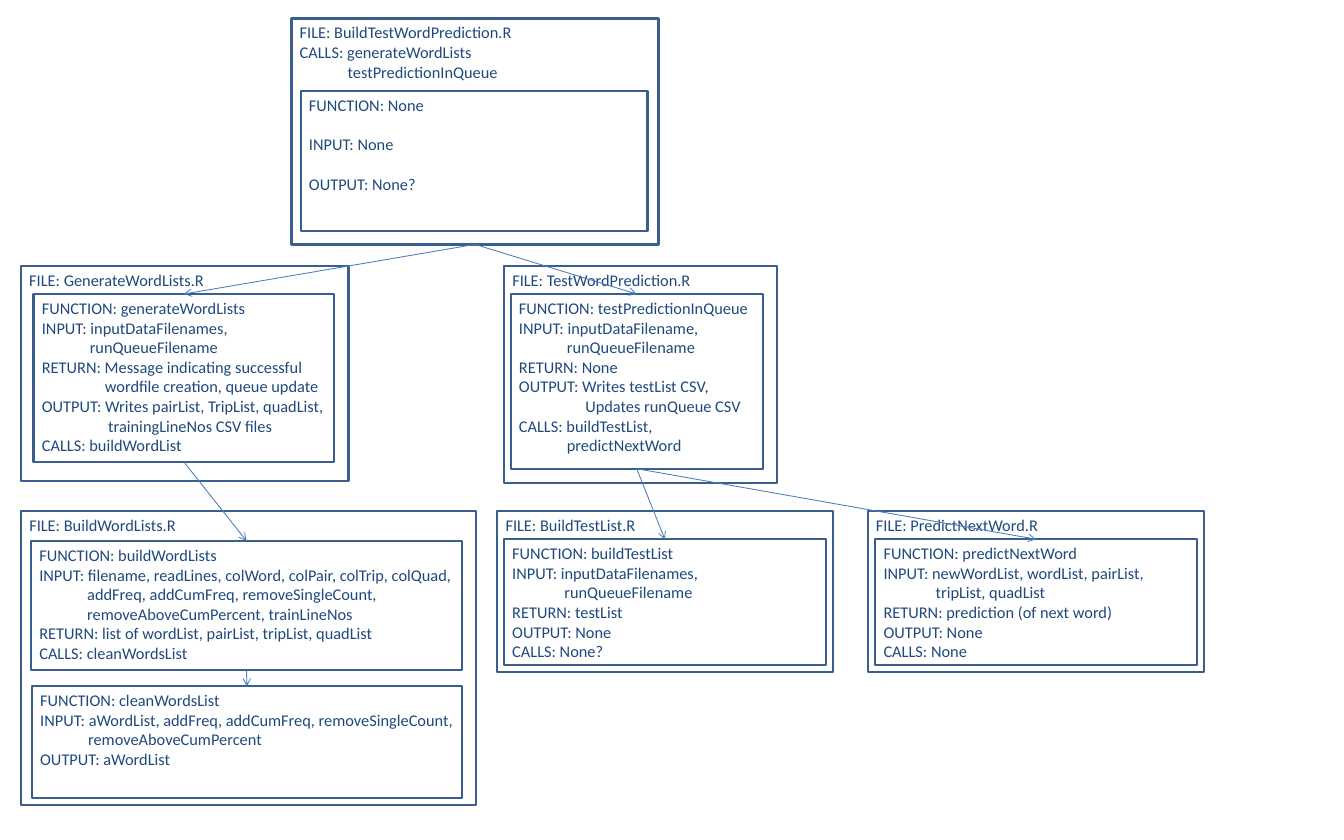
from pptx import Presentation
from pptx.dml.color import RGBColor
from pptx.enum.shapes import MSO_CONNECTOR as Connector, MSO_SHAPE as Shape
from pptx.enum.text import MSO_ANCHOR as Anchor, PP_ALIGN as Align
from pptx.oxml.ns import qn
from pptx.util import Inches, Pt
from lxml.etree import SubElement

BORDER = RGBColor(0x3A, 0x5F, 0x8C)
ARROW = RGBColor(0x4B, 0x7E, 0xBC)
INK = RGBColor(0x1F, 0x49, 0x7D)
FONT_FORMAT = {"name": "Calibri", "size": Pt(14)}
FRAME_FORMAT = {"word_wrap": True, "vertical_anchor": Anchor.TOP}
TOP, BOTTOM = 0, 2

FILES = {
    "main": ((3.47, 0.22, 4.37, 2.69), [
        "FILE: BuildTestWordPrediction.R",
        "CALLS: generateWordLists",
        ("testPredictionInQueue", 0.57)]),
    "generate": ((0.25, 3.17, 3.9, 2.56), ["FILE: GenerateWordLists.R"]),
    "test": ((6, 3.17, 3.25, 2.58), ["FILE: TestWordPrediction.R"]),
    "build_test": ((5.92, 6.08, 4, 1.92), ["FILE: BuildTestList.R"]),
    "build_words": ((0.25, 6.08, 5.42, 3.5), ["FILE: BuildWordLists.R"]),
    "predict": ((10.33, 6.08, 4, 1.92), ["FILE: PredictNextWord.R"]),
}

FUNCTIONS = {
    "none": ("main", (0.11, 0.86, 4.13, 1.67), 17, [
        "FUNCTION: None", "INPUT: None", "OUTPUT: None?"]),
    "generateWordLists": ("generate", (0.15, 0.33, 3.58, 2), 0, [
        "FUNCTION: generateWordLists",
        "INPUT: inputDataFilenames,",
        ("runQueueFilename", 0.57),
        "RETURN: Message indicating successful",
        ("wordfile creation, queue update", 0.75),
        "OUTPUT: Writes pairList, TripList, quadList,",
        ("trainingLineNos CSV files", 0.79),
        "CALLS: buildWordList"]),
    "testPredictionInQueue": ("test", (0.08, 0.33, 3, 2.08), 0, [
        "FUNCTION: testPredictionInQueue",
        "INPUT: inputDataFilename,",
        ("runQueueFilename", 0.57),
        "RETURN: None",
        "OUTPUT: Writes testList CSV,",
        ("Updates runQueue CSV", 0.79),
        "CALLS: buildTestList,",
        ("predictNextWord", 0.57)]),
    "buildTestList": ("build_test", (0.08, 0.34, 3.83, 1.5), 0, [
        "FUNCTION: buildTestList",
        "INPUT: inputDataFilenames,",
        ("runQueueFilename", 0.62),
        "RETURN: testList",
        "OUTPUT: None",
        "CALLS: None?"]),
    "buildWordLists": ("build_words", (0.12, 0.36, 5.13, 1.54), 0, [
        "FUNCTION: buildWordLists",
        "INPUT: filename, readLines, colWord, colPair, colTrip, colQuad,",
        ("addFreq, addCumFreq, removeSingleCount,", 0.57),
        ("removeAboveCumPercent, trainLineNos", 0.57),
        "RETURN: list of wordList, pairList, tripList, quadList",
        "CALLS: cleanWordsList"]),
    "cleanWordsList": ("build_words", (0.13, 2.09, 5.12, 1.33), 0, [
        "FUNCTION: cleanWordsList",
        "INPUT: aWordList, addFreq, addCumFreq, removeSingleCount,",
        ("removeAboveCumPercent", 0.57),
        "OUTPUT: aWordList"]),
    "predictNextWord": ("predict", (0.09, 0.34, 3.83, 1.5), 0, [
        "FUNCTION: predictNextWord",
        "INPUT: newWordList, wordList, pairList,",
        ("tripList, quadList", 0.62),
        "RETURN: prediction (of next word)",
        "OUTPUT: None",
        "CALLS: None"]),
}

CALLS = [
    ("main", "generateWordLists"),
    ("main", "testPredictionInQueue"),
    ("generateWordLists", "buildWordLists"),
    ("buildWordLists", "cleanWordsList"),
    ("testPredictionInQueue", "buildTestList"),
    ("testPredictionInQueue", "predictNextWord"),
]


def set_all(target, formats):
    """Set every attribute named in formats on the target."""
    for name, value in formats.items():
        setattr(target, name, value)


def add_panel(slide, box, lines, gap=0):
    """Draw an outlined panel whose lines may be (text, indent) pairs."""
    panel = slide.shapes.add_shape(Shape.FLOWCHART_PROCESS, *map(Inches, box))
    panel.shadow.inherit = False
    panel.fill.background()
    panel.line.color.rgb = BORDER
    panel.line.width = Pt(2)
    frame = panel.text_frame
    set_all(frame, FRAME_FORMAT)
    for number, line in enumerate(lines):
        text, indent = (line, 0) if isinstance(line, str) else line
        entry = frame.add_paragraph() if number else frame.paragraphs[0]
        set_all(entry, {"alignment": Align.LEFT, "space_after": Pt(gap)})
        if indent:
            entry._p.get_or_add_pPr().set("marL", str(Inches(indent)))
        words = entry.add_run()
        words.text = text
        set_all(words.font, FONT_FORMAT)
        words.font.color.rgb = INK
    return panel


def add_function(slide, file_box, offset, lines, gap):
    """Place a function panel relative to the box of its file."""
    left, top, width, height = offset
    box = (file_box[0] + left, file_box[1] + top, width, height)
    return add_panel(slide, box, lines, gap)


def add_call(slide, caller, callee):
    """Draw an arrow from the caller's bottom to the callee's top."""
    call = slide.shapes.add_connector(Connector.STRAIGHT, 0, 0, 0, 0)
    call.begin_connect(caller, BOTTOM)
    call.end_connect(callee, TOP)
    call.line.color.rgb = ARROW
    call.line.width = Pt(0.75)
    SubElement(call.line._get_or_add_ln(), qn("a:tailEnd"), type="arrow")
    SubElement(call._element.spPr, qn("a:effectLst"))


def build_call_map(slide):
    """Draw all files, their functions and the calls between them."""
    panels = {}
    for name, (box, heading) in FILES.items():
        panels[name] = add_panel(slide, box, heading)
    for name, (file, offset, gap, lines) in FUNCTIONS.items():
        panels[name] = add_function(slide, FILES[file][0], offset, lines, gap)
    for caller, callee in CALLS:
        add_call(slide, panels[caller], panels[callee])


deck = Presentation()
set_all(deck, {"slide_width": Inches(16), "slide_height": Inches(10)})
build_call_map(deck.slides.add_slide(deck.slide_layouts[6]))
deck.save("out.pptx")
